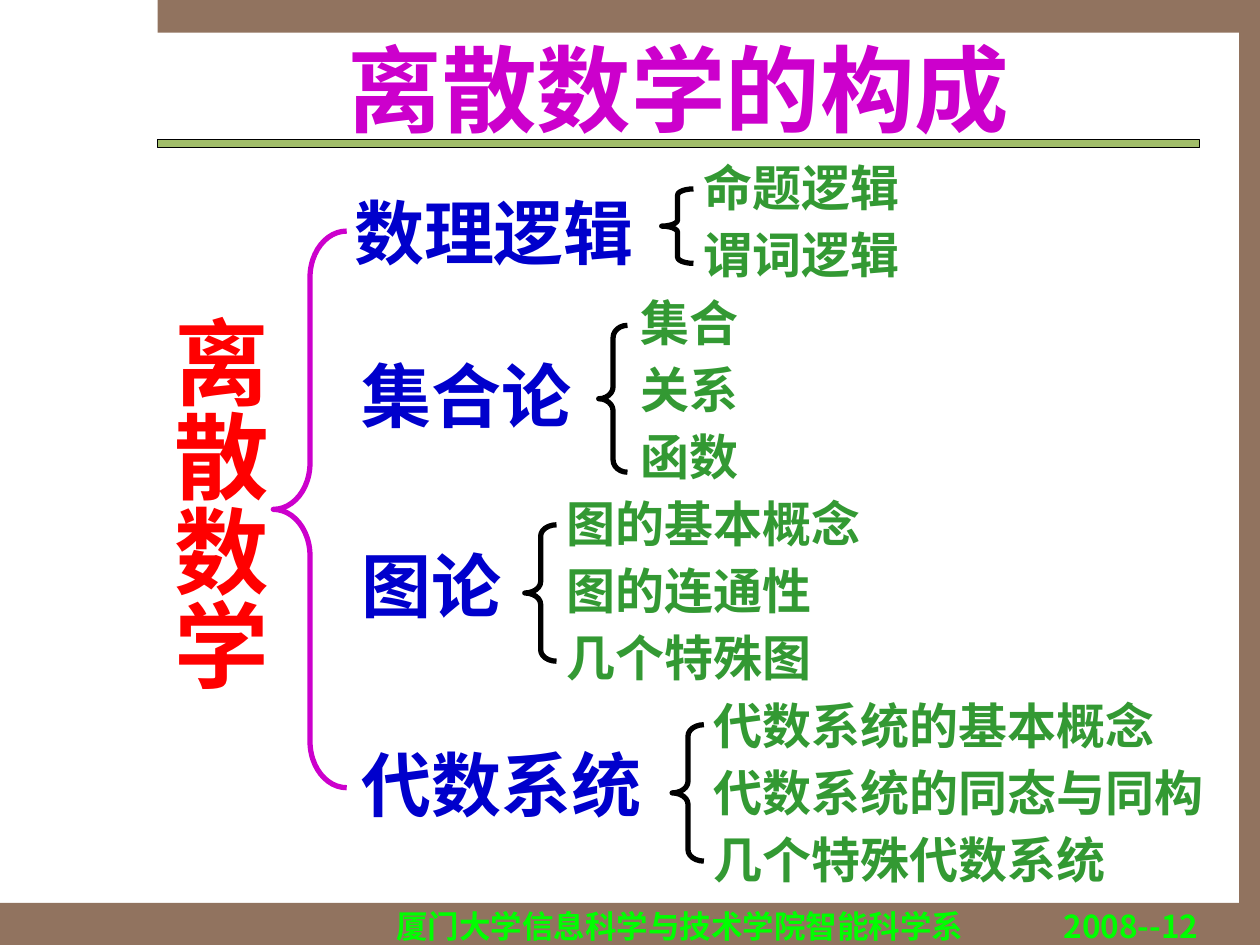
from lxml import etree
from pptx import Presentation
from pptx.dml.color import RGBColor
from pptx.enum.shapes import MSO_SHAPE
from pptx.enum.text import MSO_ANCHOR, MSO_AUTO_SIZE, PP_ALIGN
from pptx.oxml.ns import qn
from pptx.util import Cm, Pt

RECT, BRACE = MSO_SHAPE.RECTANGLE, MSO_SHAPE.LEFT_BRACE
TOP, MIDDLE = MSO_ANCHOR.TOP, MSO_ANCHOR.MIDDLE
LEFT, CENTER, RIGHT = PP_ALIGN.LEFT, PP_ALIGN.CENTER, PP_ALIGN.RIGHT
FIXED, GROW = MSO_AUTO_SIZE.NONE, MSO_AUTO_SIZE.SHAPE_TO_FIT_TEXT
CJK, LATIN = "Noto Sans CJK SC", "Roboto Condensed"

COLORS = {"frame": "91735F", "rule": "A1BD69", "black": "000000",
          "footer": "00FF00", "title": "CC00CC", "subject": "FF0000",
          "branch": "0000CC", "leaf": "339933"}

prs = Presentation()
prs.slide_width, prs.slide_height = Cm(25.4), Cm(19.05)
slide = prs.slides.add_slide(prs.slide_layouts[6])


def add_text(text, box, size, color, font=CJK, align=LEFT, anchor=TOP,
             fit=FIXED, inset=(0, 0), spacing=1.0):
    frame = slide.shapes.add_textbox(*map(Cm, box)).text_frame
    side, edge = map(Cm, inset)
    frame_format = {"word_wrap": True, "auto_size": fit, "vertical_anchor": anchor,
                    "margin_left": side, "margin_right": side,
                    "margin_top": edge, "margin_bottom": edge}
    for name, value in frame_format.items():
        setattr(frame, name, value)
    paragraph = frame.paragraphs[0]
    paragraph.alignment, paragraph.line_spacing = align, spacing
    run = paragraph.add_run()
    run.text = text
    for name, value in {"size": Pt(size), "bold": True, "name": font}.items():
        setattr(run.font, name, value)
    run.font.color.rgb = RGBColor.from_string(COLORS[color])
    # East Asian characters take their font from a:ea
    latin = run.font._element.find(qn("a:latin"))
    east_asian = etree.Element(qn("a:ea"), typeface=font)
    latin.addnext(east_asian)
    return frame


def add_figure(kind, box, fill=None, line=None, width=0.75):
    figure = slide.shapes.add_shape(kind, *map(Cm, box))
    figure.shadow.inherit = False
    if fill:
        figure.fill.solid()
        figure.fill.fore_color.rgb = RGBColor.from_string(COLORS[fill])
    else:
        figure.fill.background()
    if line:
        figure.line.color.rgb = RGBColor.from_string(COLORS[line])
        figure.line.width = Pt(width)
    else:
        figure.line.fill.background()
    if kind == BRACE:
        # Each curl takes a twelfth of the brace height
        figure.adjustments[0] = box[3] / 12 / min(box[2], box[3])


# Frame bars and the rule under the title
for bar in [(0, 18.2, 25.4, 0.85), (3.18, 0, 22.22, 0.66), (24.98, 0.64, 0.42, 17.57)]:
    add_figure(RECT, bar, fill="frame")
add_figure(RECT, (3.18, 2.82, 21, 0.15), fill="rule", line="black")

# Footer
INSET = (0.25, 0.13)
add_text("厦门大学信息科学与技术学院智能科学系", (6.91, 18.16, 13.59, 0.36), 18, "footer",
         align=CENTER, inset=INSET)
add_text("2008--12", (19.13, 18.16, 5.28, 0.46), 18, "footer", align=RIGHT, inset=INSET)

# Title
add_text("离散数学的构成", (3.18, 0.76, 21, 2), 54, "title",
         align=CENTER, anchor=MIDDLE, inset=INSET)

# Subject, written vertically, with the main brace
subject = add_text("离散数学", (3.23, 6.35, 2.06, 7.72), 54, "subject", fit=GROW, spacing=0.9)
subject._txBody.bodyPr.set("vert", "eaVert")
add_figure(BRACE, (5.51, 4.66, 1.48, 11.22), line="title", width=3)

# Branches: name, box top and width, text options, brace box, leaf left, leaves with widths
BRANCH_LEFT = 7.04
first_style = {"font": CJK, "inset": (0.1, 0.1), "spacing": 1.2}
other_style = {"font": LATIN, "inset": INSET, "fit": GROW}
branches = [
    ("数理逻辑", 3.38, 6.1, first_style, (13.34, 3.81, 0.64, 1.5), 14.18,
     [("命题逻辑", 5.72), ("谓词逻辑", 5.72)]),
    ("集合论", 6.98, 4.83, other_style, (12.07, 6.56, 0.58, 2.96), 12.91,
     [("集合", 2.54), ("关系", 2.33), ("函数", 2.54)]),
    ("图论", 10.8, 3.96, other_style, (10.58, 10.58, 0.64, 2.75), 11.43,
     [("图的基本概念", 6.99), ("图的连通性", 5.72), ("几个特殊图", 5.93)]),
    ("代数系统", 14.82, 6.3, other_style, (13.55, 14.61, 0.64, 2.75), 14.39,
     [("代数系统的基本概念", 9.1), ("代数系统的同态与同构", 10.37), ("几个特殊代数系统", 9.1)]),
]
FIRST_LEAF, LAST_LEAF, LEAF_HEIGHT = 3.18, 16.72, 1.19
leaf_count = sum(len(branch[-1]) for branch in branches)
leaf_pitch = (LAST_LEAF - FIRST_LEAF) / (leaf_count - 1)
leaf_top = FIRST_LEAF
for name, top, width, style, brace, leaf_left, leaves in branches:
    height = 2.24 if style is first_style else 1.96
    add_text(name, (BRANCH_LEFT, top, width, height), 40, "branch", **style)
    add_figure(BRACE, brace, line="black", width=3)
    for leaf, leaf_width in leaves:
        add_text(leaf, (leaf_left, leaf_top, leaf_width, LEAF_HEIGHT), 28, "leaf",
                 font=LATIN, fit=GROW)
        leaf_top += leaf_pitch

prs.save("out.pptx")
